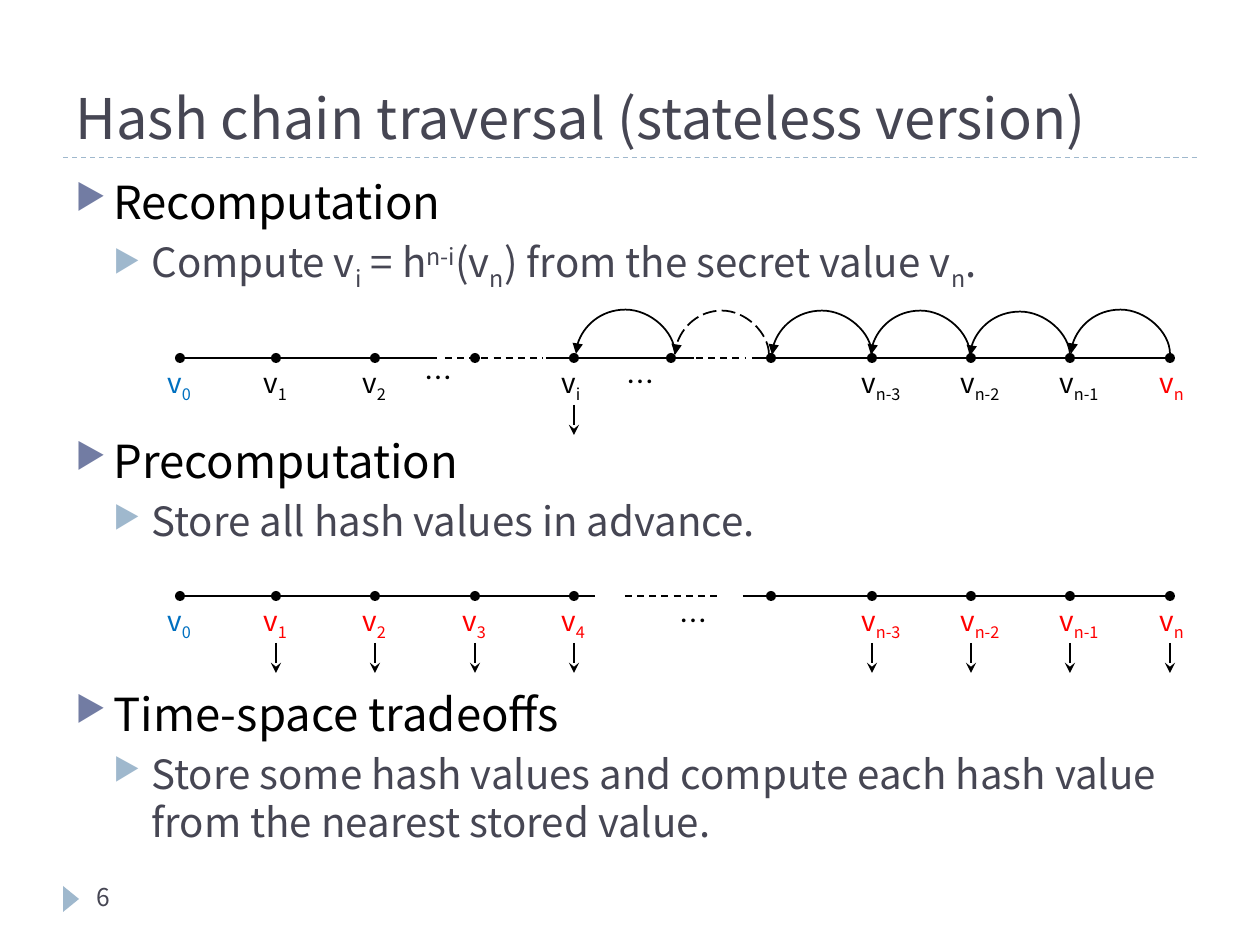
from lxml import etree
from pptx import Presentation
from pptx.dml.color import RGBColor
from pptx.enum.dml import MSO_LINE
from pptx.enum.shapes import MSO_CONNECTOR, MSO_SHAPE
from pptx.enum.text import MSO_ANCHOR, MSO_AUTO_SIZE, PP_ALIGN
from pptx.oxml.ns import qn
from pptx.util import Emu, Pt

STRAIGHT, CURVE = MSO_CONNECTOR.STRAIGHT, MSO_CONNECTOR.CURVE
DASH, LONG_DASH = MSO_LINE.DASH, MSO_LINE.LONG_DASH
OVAL, TRIANGLE = MSO_SHAPE.OVAL, MSO_SHAPE.ISOSCELES_TRIANGLE
FONT = "Noto Sans CJK KR"
BLACK, SLATE, RED, BLUE = "000000", "464653", "FF0000", "0070C0"
INDIGO, PALE = "727CA3", "9FB8CD"
SUB, SUP = -25, 30

TITLE = "Hash chain traversal (stateless version)"
SECTIONS = [
    ("Recomputation",
     [("Compute v", 0), ("i", SUB), (" = h", 0), ("n-i", SUP), ("(v", 0), ("n", SUB),
      (") from the secret value v", 0), ("n", SUB), (".", 0)]),
    ("Precomputation", [("Store all hash values in advance.", 0)]),
    ("Time-space tradeoffs",
     [("Store some hash values and compute each hash value from the nearest stored value.", 0)]),
]
DOTS = [180, 276, 375, 475, 574, 671, 771, 872, 971, 1070, 1170]
CHAINS = [
    dict(y=358, dots=DOTS,
         lines=[(181, 437, None), (752, 1167, None), (445, 543, DASH),
                (546, 694, None), (696, 746, DASH)],
         labels=[(0, "0", BLUE), (1, "1", BLACK), (2, "2", BLACK), (4, "i", BLACK),
                 (7, "n-3", BLACK), (8, "n-2", BLACK), (9, "n-1", BLACK), (10, "n", RED)],
         ellipses=[(412, -4), (614, 0)], arrows=[4]),
    dict(y=596, dots=DOTS[:5] + DOTS[6:],
         lines=[(181, 595, None), (743, 1167, None), (625, 719, DASH)],
         labels=[(0, "0", BLUE), (1, "1", RED), (2, "2", RED), (3, "3", RED), (4, "4", RED),
                 (7, "n-3", RED), (8, "n-2", RED), (9, "n-1", RED), (10, "n", RED)],
         ellipses=[(667, 1)], arrows=[1, 2, 3, 4, 7, 8, 9, 10]),
]
JUMPS = [(1170, 1071, 354, None), (1070, 970, 356, None), (970, 871, 355, None),
         (872, 772, 355, None), (769, 675, 355, LONG_DASH), (675, 576, 354, None)]
JUMP_HEIGHT = 49


def px(n):
    return Emu(round(n * 914400 / 126))


def rgb(color):
    return RGBColor.from_string(color)


def add_run(p, text, size, color, base=0):
    r = p.add_run()
    r.text = text
    r.font.size = Pt(size)
    r.font.name = FONT
    r.font.color.rgb = rgb(color)
    props = r.font._element
    etree.SubElement(props, qn("a:ea")).set("typeface", FONT)
    if base:
        props.set("baseline", str(base * 1000))


def add_text(x, y, w, h):
    tf = s.shapes.add_textbox(px(x), px(y), px(w), px(h)).text_frame
    tf.word_wrap = True
    return tf


def add_bullet(p, level, color):
    pPr = p._p.get_or_add_pPr()
    pPr.set("marL", str(px(38 * (level + 1))))
    pPr.set("indent", str(-px(38)))
    clr = etree.SubElement(pPr, qn("a:buClr"))
    etree.SubElement(clr, qn("a:srgbClr")).set("val", color)
    etree.SubElement(pPr, qn("a:buSzPct")).set("val", "76000")
    etree.SubElement(pPr, qn("a:buChar")).set("char", "▶")


def add_shape(kind, x, y, w, h, color):
    sp = s.shapes.add_shape(kind, px(x), px(y), px(w), px(h))
    sp.shadow.inherit = False
    sp.fill.solid()
    sp.fill.fore_color.rgb = rgb(color)
    sp.line.fill.background()
    return sp


def add_line(x1, y1, x2, y2, dash=None, head=None, color=BLACK, width=1, kind=STRAIGHT):
    ln = s.shapes.add_connector(kind, px(x1), px(y1), px(x2), px(y2))
    ln.line.color.rgb = rgb(color)
    ln.line.width = Pt(width)
    if dash:
        ln.line.dash_style = dash
    if head:
        etree.SubElement(ln.line._get_or_add_ln(), qn("a:tailEnd")).set("type", head)
    etree.SubElement(ln._element.spPr, qn("a:effectLst"))
    return ln


def add_jump(start, end, y, dash):
    ln = add_line(start, y, end, y, dash, "triangle", kind=CURVE)
    span, thin = px(start - end), Emu(1588)
    ln.left = px((start + end) / 2) - thin // 2
    ln.top = px(y) - span // 2
    ln.width, ln.height = thin, span
    spPr = ln._element.spPr
    xfrm = spPr.find(qn("a:xfrm"))
    xfrm.attrib.pop("flipH", None)
    xfrm.set("rot", "16200000")
    xfrm.set("flipV", "1")
    geom = spPr.find(qn("a:prstGeom"))
    guides = geom.find(qn("a:avLst"))
    if guides is None:
        guides = etree.SubElement(geom, qn("a:avLst"))
    gd = etree.SubElement(guides, qn("a:gd"))
    gd.set("name", "adj1")
    gd.set("fmla", f"val {round(px(JUMP_HEIGHT) / thin * 100000)}")


prs = Presentation()
prs.slide_width, prs.slide_height = px(1260), px(945)
s = prs.slides.add_slide(prs.slide_layouts[5])

add_line(63, 157.5, 1197, 157.5, DASH, color=PALE, width=0.75)
marker = add_shape(TRIANGLE, 58, 891, 26, 16, PALE)
marker.rotation = 90

title = s.shapes.title
title.left, title.top, title.width, title.height = px(63), px(21), px(1134), px(136)
tf = title.text_frame
tf.auto_size = MSO_AUTO_SIZE.NONE
tf.vertical_anchor = MSO_ANCHOR.BOTTOM
tf.paragraphs[0].alignment = PP_ALIGN.LEFT
add_run(tf.paragraphs[0], TITLE, 32, SLATE)

add_run(add_text(84, 876, 273, 50).paragraphs[0], "6", 14, SLATE)

tf = add_text(63, 168, 1134, 680)
for i, (heading, detail) in enumerate(SECTIONS):
    p = tf.add_paragraph() if i else tf.paragraphs[0]
    p.space_before = Pt(80.6 if i else 0)
    add_bullet(p, 0, INDIGO)
    add_run(p, heading, 26, BLACK)
    p = tf.add_paragraph()
    p.space_before = Pt(5)
    add_bullet(p, 1, PALE)
    for text, base in detail:
        add_run(p, text, 23, SLATE, base)

for chain in CHAINS:
    y = chain["y"]
    for x1, x2, dash in chain["lines"]:
        add_line(x1, y, x2, y, dash)
    for x in chain["dots"]:
        add_shape(OVAL, x - 5, y - 5, 10, 10, BLACK)
    for i, index, color in chain["labels"]:
        left = DOTS[i] - (25 if i < 7 else 23)
        p = add_text(left, y + 1, 49 if i < 7 else 68, 47).paragraphs[0]
        add_run(p, "v", 16, color)
        add_run(p, index, 16, color, SUB)
    for x, dy in chain["ellipses"]:
        add_run(add_text(x, y + dy, 76, 47).paragraphs[0], "…", 16, BLACK)
    for i in chain["arrows"]:
        add_line(DOTS[i], y + 47, DOTS[i], y + 77, head="stealth")

for jump in JUMPS:
    add_jump(*jump)

prs.save("out.pptx")
